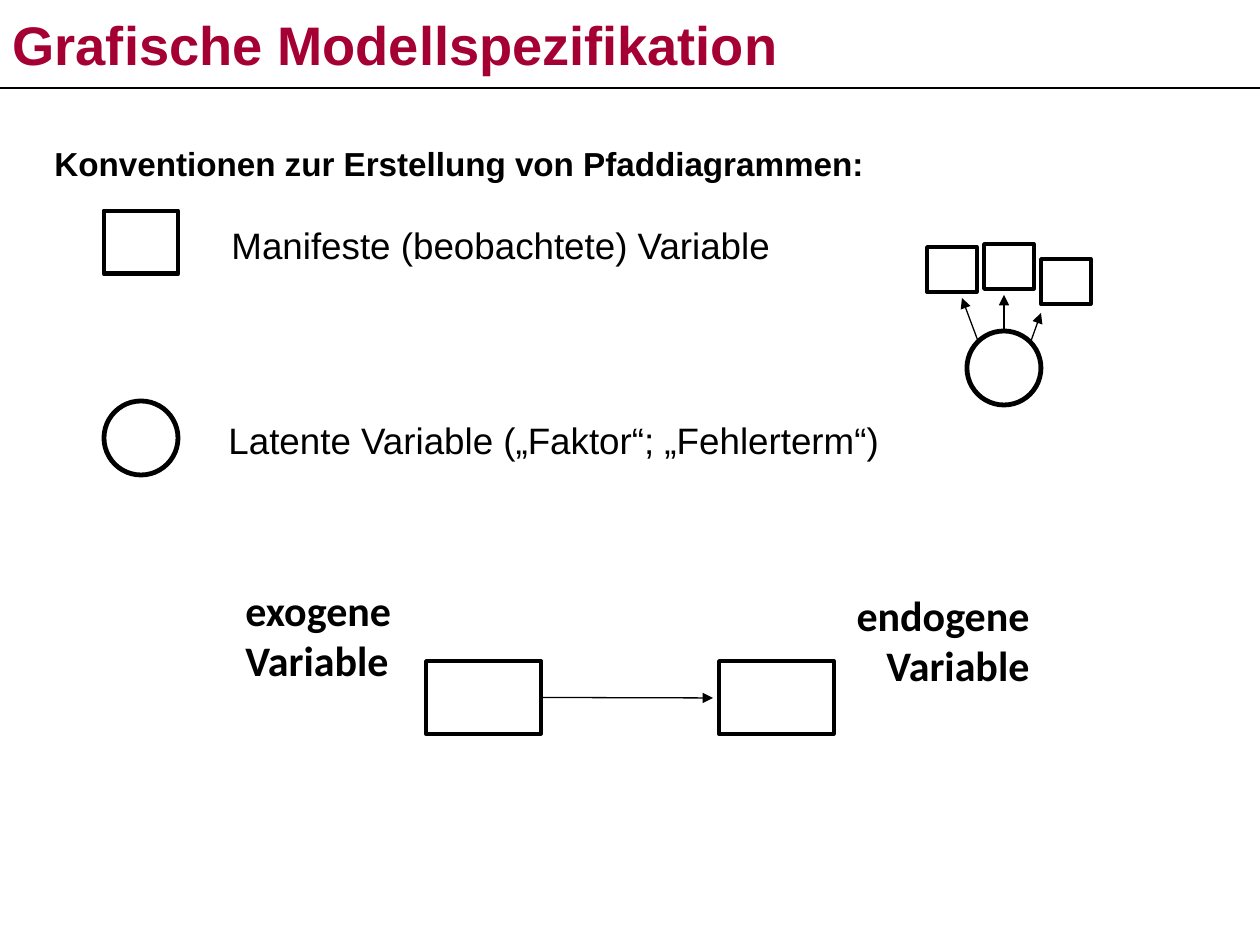
from pptx import Presentation
from pptx.dml.color import RGBColor
from pptx.enum.shapes import MSO_CONNECTOR, MSO_SHAPE
from pptx.enum.text import MSO_ANCHOR, MSO_AUTO_SIZE, PP_ALIGN
from pptx.oxml.ns import qn
from pptx.util import Emu, Pt
from lxml import etree

STRAIGHT = MSO_CONNECTOR.STRAIGHT
RECT, OVAL = MSO_SHAPE.RECTANGLE, MSO_SHAPE.OVAL
LEFT, RIGHT = PP_ALIGN.LEFT, PP_ALIGN.RIGHT
TOP, MIDDLE = MSO_ANCHOR.TOP, MSO_ANCHOR.MIDDLE
NO_FIT = MSO_AUTO_SIZE.NONE
PX_PER_INCH = 126
TOP_SIDE, RIGHT_SIDE = 0, 3


def px(n):
    """Turn pixels into EMU."""
    return Emu(round(n * 914400 / PX_PER_INCH))


def rgb(color):
    """Turn a hex string into a colour."""
    return RGBColor.from_string(color)


class PathDiagramSlide:
    """Hold the style and the current slide."""

    ink = "000000"
    accent = "A50034"
    font = "Arial"
    label_font = "Calibri"

    def __init__(self, prs):
        """Add a title-only slide."""
        self.s = prs.slides.add_slide(prs.slide_layouts[5])

    def fill_text(self, sp, text, size, font, color, bold, align, anchor):
        """Fill a shape with one formatted run."""
        tf = sp.text_frame
        tf.word_wrap = True
        tf.auto_size = NO_FIT
        tf.vertical_anchor = anchor
        p = tf.paragraphs[0]
        p.alignment = align
        r = p.add_run()
        r.text = text
        r.font.size = Pt(size)
        r.font.name = font
        r.font.bold = bold
        r.font.color.rgb = rgb(color)

    def title(self, text, x, y, w, h):
        """Place and format the title."""
        sp = self.s.shapes.title
        sp.left, sp.top, sp.width, sp.height = map(px, (x, y, w, h))
        self.fill_text(sp, text, 31, self.font, self.accent, True, LEFT, MIDDLE)

    def text(self, text, x, y, w, h, size, font=None, bold=False, align=LEFT):
        """Add a text box."""
        sp = self.s.shapes.add_textbox(*map(px, (x, y, w, h)))
        self.fill_text(sp, text, size, font or self.font, self.ink, bold, align, TOP)

    def node(self, kind, x, y, w, h, weight):
        """Add an outlined variable symbol."""
        sp = self.s.shapes.add_shape(kind, *map(px, (x, y, w, h)))
        sp.shadow.inherit = False
        sp.fill.background()
        sp.line.color.rgb = rgb(self.ink)
        sp.line.width = Pt(weight)
        return sp

    def line(self, x1, y1, x2, y2, weight=0.75, arrow=True, start=None, side=None):
        """Add a straight line, optionally with an arrowhead and a joined start."""
        c = self.s.shapes.add_connector(STRAIGHT, *map(px, (x1, y1, x2, y2)))
        if start is not None:
            c.begin_connect(start, side)
        c.line.color.rgb = rgb(self.ink)
        c.line.width = Pt(weight)
        if arrow:
            ln = c._element.spPr.find(qn("a:ln"))
            etree.SubElement(ln, qn("a:tailEnd"), type="triangle")
        etree.SubElement(c._element.spPr, qn("a:effectLst"))


def main():
    """Build the slide and save it."""
    prs = Presentation()
    prs.slide_width, prs.slide_height = px(1260), px(945)
    s = PathDiagramSlide(prs)

    s.line(0, 88, 1260, 88, weight=1.25, arrow=False)
    s.title("Grafische Modellspezifikation", 0, 0, 1260, 88)
    s.text("Konventionen zur Erstellung von Pfaddiagrammen:",
           42, 137, 975, 73, 19, bold=True)

    s.node(RECT, 104, 211, 74, 63, 2.75)
    s.text("Manifeste (beobachtete) Variable", 219, 217, 941, 53, 21)
    s.node(OVAL, 104, 401, 74, 74, 2.75)
    s.text("Latente Variable („Faktor“; „Fehlerterm“)", 216, 412, 814, 53, 21)

    factor = s.node(OVAL, 967, 331, 74, 74, 2.75)
    s.line(978, 341, 962, 298)
    s.line(1004, 331, 1004, 295, start=factor, side=TOP_SIDE)
    s.line(1031, 341, 1041, 313)
    for x, y in ((927, 247), (984, 244), (1041, 259)):
        s.node(RECT, x, y, 50, 45, 2)

    exogenous, _ = [s.node(RECT, x, 661, 115, 73, 2) for x in (426, 719)]
    s.line(541, 698, 713, 698, start=exogenous, side=RIGHT_SIDE)
    for text, x, y, w, align in (("exogene Variable", 233, 578, 233, LEFT),
                                 ("endogene Variable", 706, 583, 336, RIGHT)):
        s.text(text, x, y, w, 115, 24, s.label_font, True, align)

    prs.save("out.pptx")


if __name__ == "__main__":
    main()
